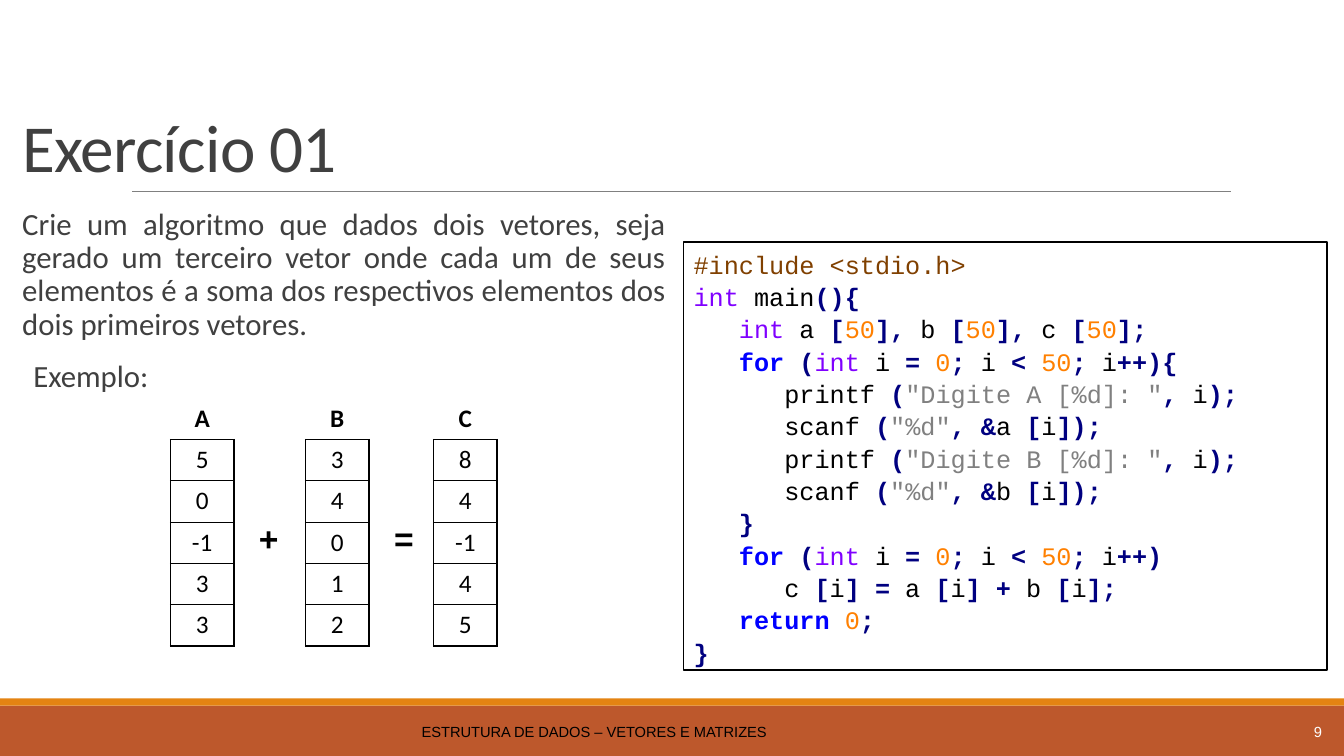
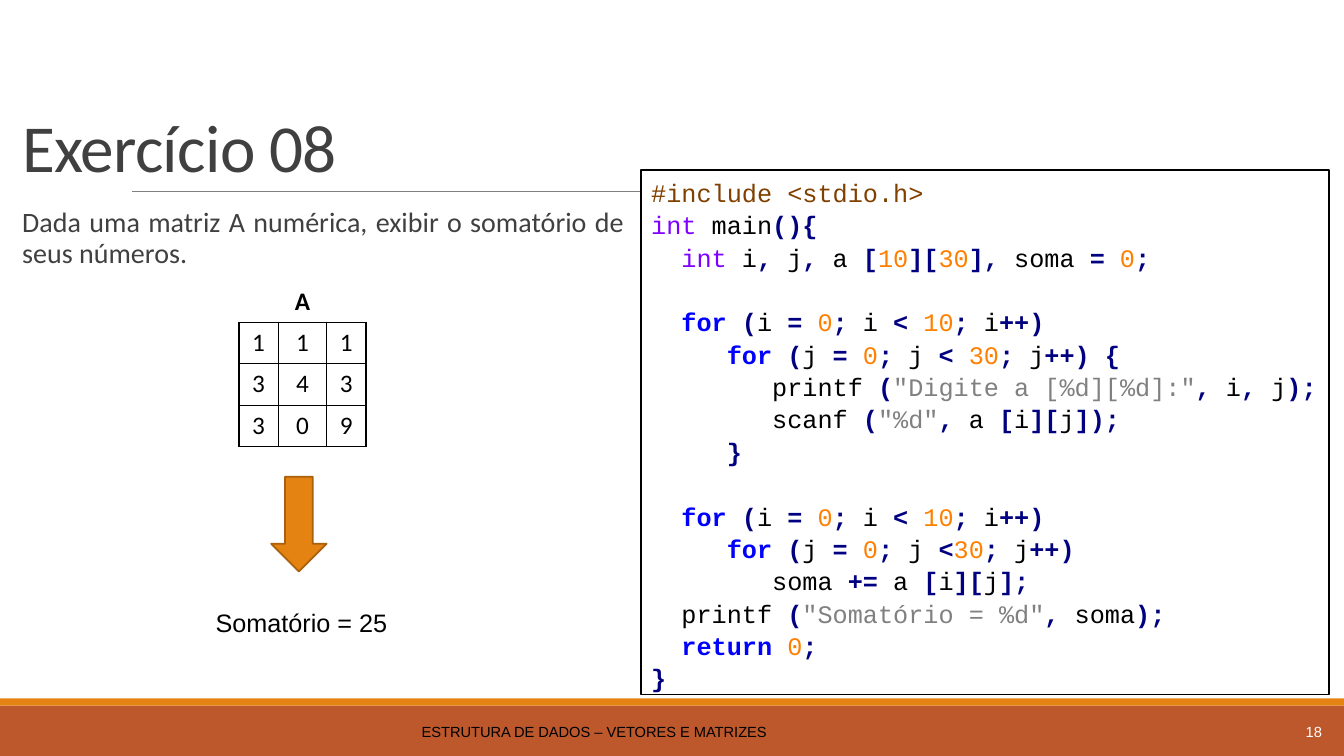
from dataclasses import dataclass
from itertools import groupby
from typing import NamedTuple

from lxml import etree
from pptx import Presentation
from pptx import util as u
from pptx.dml.color import RGBColor
from pptx.enum import shapes, text as txt
from pptx.oxml import ns


@dataclass(frozen=True)
class Theme:
    band: str = "BD582C"
    accent: str = "E48312"
    accent_edge: str = "A9610D"
    rule: str = "808080"
    prose: str = "404040"
    black: str = "000000"
    white: str = "FFFFFF"
    directive: str = "804000"
    type_word: str = "8000FF"
    keyword: str = "0000FF"
    symbol: str = "000080"
    number: str = "FF8000"
    string: str = "808080"
    heading_font: str = "Calibri"
    label_font: str = "Arial"
    code_font: str = "Courier New"
    title_size: float = 48
    sign_size: float = 24
    text_size: float = 18
    footer_size: float = 10.5


class Box(NamedTuple):
    left: float
    top: float
    width: float
    height: float

    def lengths(self):
        return [u.Inches(side) for side in self]

    def inner(self, dx, dy, width, height):
        return Box(self.left + dx, self.top + dy, width, height)


THEME = Theme()
WIDTH, HEIGHT = 13.33, 7.5
ROW_HEIGHT = 0.41
FOOTER = "ESTRUTURA DE DADOS – VETORES E MATRIZES"
TYPE_WORDS = {"int"}
KEYWORDS = {"for", "return"}

VECTOR_CODE = """#include <stdio.h>
int main(){
   int a [50], b [50], c [50];
   for (int i = 0; i < 50; i++){
      printf ("Digite A [%d]: ", i);
      scanf ("%d", &a [i]);
      printf ("Digite B [%d]: ", i);
      scanf ("%d", &b [i]);
   }
   for (int i = 0; i < 50; i++)
      c [i] = a [i] + b [i];
   return 0;
}"""

MATRIX_CODE = """#include <stdio.h>
int main(){
  int i, j, a [10][30], soma = 0;

  for (i = 0; i < 10; i++)
     for (j = 0; j < 30; j++) {
        printf ("Digite a [%d][%d]:", i, j);
        scanf ("%d", a [i][j]);
     }

  for (i = 0; i < 10; i++)
     for (j = 0; j <30; j++)
        soma += a [i][j];
  printf ("Somatório = %d", soma);
  return 0;
}"""


def rgb(value):
    return RGBColor.from_string(value)


def write(paragraph, content, *, font=THEME.label_font, size=THEME.text_size,
          color=THEME.black, bold=False, align=None, line=None, tracking=None):
    """Append a formatted run; tracking is in hundredths of a point."""
    run = paragraph.add_run()
    run.text = content
    run.font.name, run.font.size, run.font.bold = font, u.Pt(size), bold
    run.font.color.rgb = rgb(color)
    if align is not None:
        paragraph.alignment = align
    if line is not None:
        paragraph.line_spacing = line
    if tracking is not None:
        run.font._element.set("spc", str(tracking))


def place(placeholder, box):
    (placeholder.left, placeholder.top,
     placeholder.width, placeholder.height) = box.lengths()
    placeholder.text_frame.auto_size = txt.MSO_AUTO_SIZE.NONE
    placeholder.text_frame.word_wrap = True
    return placeholder.text_frame


def add_block(slide, kind, box, fill, edge=None):
    block = slide.shapes.add_shape(kind, *box.lengths())
    block.shadow.inherit = False
    block.fill.solid()
    block.fill.fore_color.rgb = rgb(fill)
    if edge:
        block.line.color.rgb = rgb(edge)
        block.line.width = u.Pt(1.25)
    else:
        block.line.fill.background()
    return block


def add_label(slide, box, content, wrap=False,
              anchor=txt.MSO_ANCHOR.TOP, **style):
    frame = slide.shapes.add_textbox(*box.lengths()).text_frame
    frame.word_wrap = wrap
    frame.vertical_anchor = anchor
    write(frame.paragraphs[0], content, **style)


def move_bands_to_master(slide, master):
    """Draw the bands and title rule on the slide, then hand them to its master."""
    rectangle = shapes.MSO_SHAPE.RECTANGLE
    band = add_block(slide, rectangle, Box(0, 7, WIDTH, 0.5), THEME.band)
    stripe = add_block(slide, rectangle, Box(0, 6.93, WIDTH, 0.07), THEME.accent)
    rule = slide.shapes.add_connector(
        shapes.MSO_CONNECTOR.STRAIGHT,
        *[u.Inches(end) for end in (1.31, 1.9, 12.21, 1.9)])
    rule.line.color.rgb = rgb(THEME.rule)
    rule.line.width = u.Pt(0.5)
    etree.SubElement(rule.element.spPr, ns.qn("a:effectLst"))
    for index, part in enumerate((band, stripe, rule), start=2):
        master.shapes.element.insert(index, part.element)


def add_title(slide, box, content):
    frame = place(slide.shapes.title, box)
    frame.vertical_anchor = txt.MSO_ANCHOR.BOTTOM
    write(frame.paragraphs[0], content, font=THEME.heading_font,
          size=THEME.title_size, color=THEME.prose, tracking=-50,
          align=txt.PP_ALIGN.LEFT, line=0.85)


def add_statement(slide, box, size, items):
    """Fill the body with (text, left indent) items."""
    frame = place(slide.placeholders[1], box)
    frame.margin_left = frame.margin_right = 0
    for index, (content, indent) in enumerate(items):
        paragraph = frame.add_paragraph() if index else frame.paragraphs[0]
        properties = paragraph._p.get_or_add_pPr()
        properties.set("marL", str(u.Inches(indent)))
        properties.set("indent", "0")
        paragraph.space_before = u.Pt(12 if index else 0)
        paragraph.space_after = u.Pt(2)
        write(paragraph, content, font=THEME.heading_font, size=size,
              color=THEME.prose, align=txt.PP_ALIGN.JUSTIFY, line=0.9)
        etree.SubElement(properties, ns.qn("a:buNone"))


def add_footer(slide, box, number):
    style = dict(wrap=True, anchor=txt.MSO_ANCHOR.MIDDLE, size=THEME.footer_size)
    add_label(slide, box.inner(0, 0, 11.55, box.height), FOOTER,
              align=txt.PP_ALIGN.CENTER, **style)
    add_label(slide, box.inner(11.66, 0, 1.43, box.height), str(number),
              color=THEME.white, align=txt.PP_ALIGN.RIGHT, **style)


def char_kind(char):
    if char.isspace():
        return "space"
    return "word" if char.isalnum() else "symbol"


def code_tokens(line):
    """Yield (text, colour, bold) for each token of a line of C."""
    if line.startswith("#"):
        yield line, THEME.directive, False
        return
    for index, part in enumerate(line.split('"')):
        if index % 2:
            yield f'"{part}"', THEME.string, False
            continue
        for kind, chars in groupby(part, char_kind):
            token = "".join(chars)
            if kind == "symbol":
                yield token, THEME.symbol, True
            elif token in KEYWORDS:
                yield token, THEME.keyword, True
            elif token in TYPE_WORDS:
                yield token, THEME.type_word, False
            elif token.isdigit():
                yield token, THEME.number, False
            else:
                yield token, THEME.black, False


def add_code(slide, box, source):
    panel = add_block(slide, shapes.MSO_SHAPE.RECTANGLE, box,
                      THEME.white, THEME.black)
    frame = panel.text_frame
    frame.word_wrap = True
    frame.vertical_anchor = txt.MSO_ANCHOR.TOP
    for index, line in enumerate(source.splitlines()):
        paragraph = frame.add_paragraph() if index else frame.paragraphs[0]
        for token, color, bold in code_tokens(line or " "):
            write(paragraph, token, font=THEME.code_font, color=color,
                  bold=bold, align=txt.PP_ALIGN.LEFT, line=1.07)


def set_borders(cell, visible):
    """Draw the sides named in visible (letters of LRTB) and clear the others."""
    properties = cell._tc.get_or_add_tcPr()
    for side in "LRTB":
        border = etree.SubElement(properties, ns.qn(f"a:ln{side}"),
                                  w=str(u.Pt(1)))
        if side in visible:
            fill = etree.SubElement(border, ns.qn("a:solidFill"))
            etree.SubElement(fill, ns.qn("a:srgbClr"), val=THEME.black)
        else:
            etree.SubElement(border, ns.qn("a:noFill"))


def add_array(slide, left, top, name, rows, widths):
    """Draw a bordered array under its unbordered name."""
    box = Box(left, top, sum(widths), ROW_HEIGHT * (len(rows) + 1))
    table = slide.shapes.add_table(len(rows) + 1, len(widths),
                                   *box.lengths()).table
    table.first_row = table.horz_banding = False
    for column, width in zip(table.columns, widths):
        column.width = u.Inches(width)
    for row in table.rows:
        row.height = u.Inches(ROW_HEIGHT)
    heading = [name] + [""] * (len(widths) - 1)
    for r, values in enumerate([heading, *rows]):
        for c, value in enumerate(values):
            cell = table.cell(r, c)
            set_borders(cell, "LRTB" if r else "B")
            cell.fill.background()
            if value != "":
                write(cell.text_frame.paragraphs[0], str(value),
                      font=THEME.heading_font, bold=r == 0,
                      align=txt.PP_ALIGN.CENTER)
    if len(widths) > 1:
        table.cell(0, 0).merge(table.cell(0, len(widths) - 1))


def add_vector_sum(slide, box):
    vectors = (("A", 0, (5, 0, -1, 3, 3)),
               ("B", 1.34, (3, 4, 0, 1, 2)),
               ("C", 2.61, (8, 4, -1, 4, 5)))
    for name, dx, values in vectors:
        add_array(slide, box.left + dx, box.top, name,
                  [[value] for value in values], [0.63])
    for sign, dx in (("+", 0.78), ("=", 2.12)):
        add_label(slide, box.inner(dx, 1.14, 0.4, 0.51), sign,
                  size=THEME.sign_size, bold=True)


def add_matrix_sum(slide, box):
    matrix = [[1, 1, 1], [3, 4, 3], [3, 0, 9]]
    add_array(slide, box.left + 0.34, box.top, "A", matrix, [0.39, 0.48, 0.39])
    add_block(slide, shapes.MSO_SHAPE.DOWN_ARROW,
              box.inner(0.66, 1.94, 0.55, 0.94), THEME.accent, THEME.accent_edge)
    add_label(slide, box.inner(0, 3.19, box.width, 0.4),
              f"Somatório = {sum(map(sum, matrix))}", align=txt.PP_ALIGN.CENTER)


def add_exercise(deck, title, number, body_width, body_size, items):
    slide = deck.slides.add_slide(deck.slide_layouts[1])
    add_title(slide, Box(0.12, 0.31, 13.1, 1.59), title)
    add_statement(slide, Box(0.12, 2.02, body_width, 4.91), body_size, items)
    add_footer(slide, Box(0.12, 7.06, 13.09, 0.4), number)
    return slide


def main():
    deck = Presentation()
    deck.slide_width, deck.slide_height = u.Inches(WIDTH), u.Inches(HEIGHT)

    vectors = add_exercise(deck, "Exercício 01", 9, 6.48, 22, [
        ("Crie um algoritmo que dados dois vetores, seja gerado um terceiro "
         "vetor onde cada um de seus elementos é a soma dos respectivos "
         "elementos dos dois primeiros vetores.", 0.1),
        ("Exemplo:", 0.21)])
    move_bands_to_master(vectors, deck.slide_master)
    add_code(vectors, Box(6.78, 2.4, 6.38, 4.25), VECTOR_CODE)
    add_vector_sum(vectors, Box(1.69, 3.95, 3.24, 2.46))

    matrix = add_exercise(deck, "Exercício 08", 18, 6.07, 20, [
        ("Dada uma matriz A numérica, exibir o somatório de seus números.", 0.1)])
    add_code(matrix, Box(6.36, 1.69, 6.82, 5.2), MATRIX_CODE)
    add_matrix_sum(matrix, Box(2.03, 2.79, 1.92, 3.59))

    deck.save("out.pptx")


if __name__ == "__main__":
    main()
